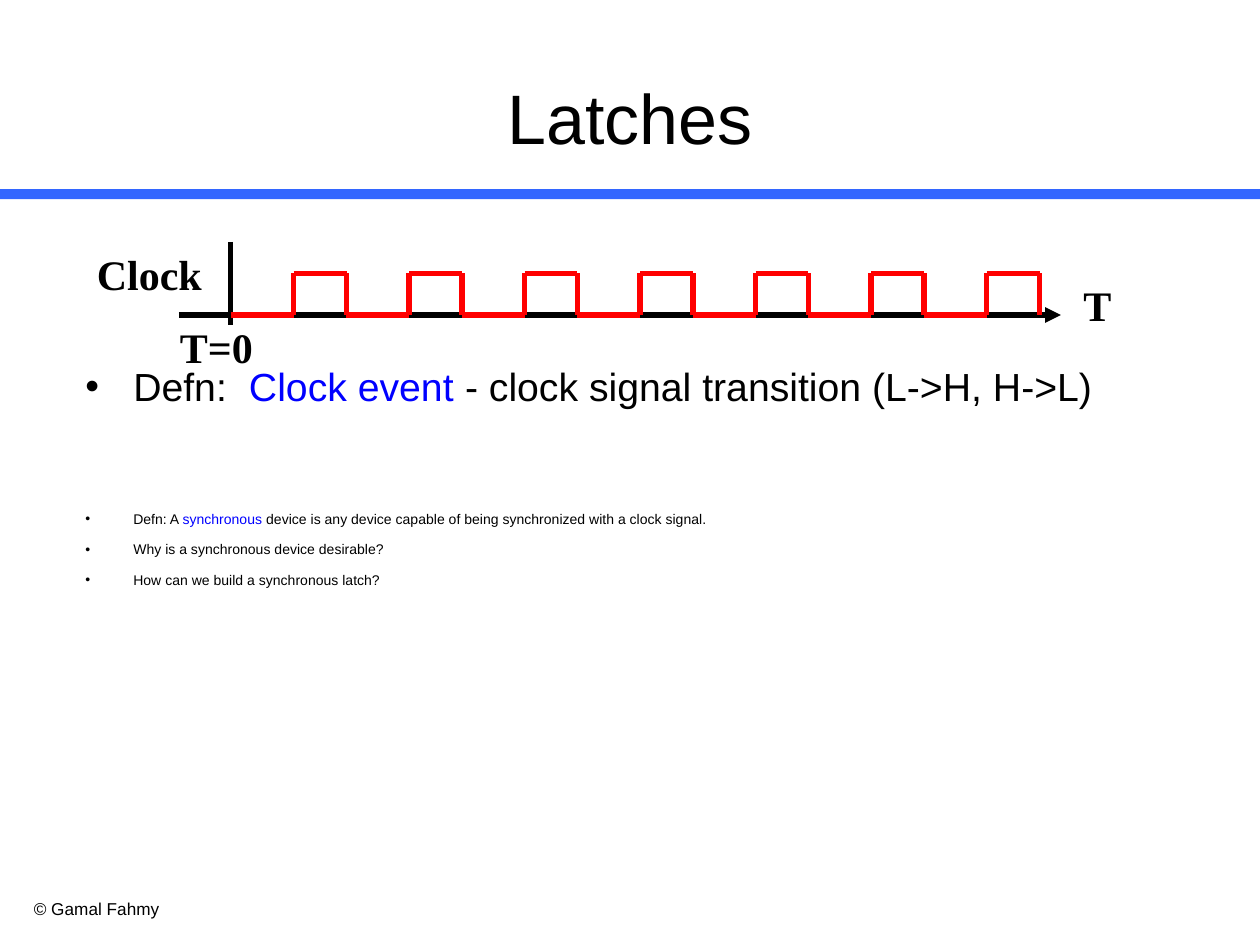
"""Build the Latches slide with its clock timing diagram."""
from lxml.etree import SubElement
from pptx import Presentation
from pptx.dml.color import RGBColor
from pptx.enum.shapes import MSO_CONNECTOR, MSO_SHAPE
from pptx.enum.text import MSO_ANCHOR, MSO_AUTO_SIZE, PP_ALIGN
from pptx.oxml.ns import qn
from pptx.util import Inches, Pt

BLACK, RED, BLUE = "000000", "FF0000", "0000FF"
color = RGBColor.from_string


def add_text(shapes, box, paragraphs, size, font="Arial", bold=False, align=PP_ALIGN.LEFT,
             anchor=MSO_ANCHOR.TOP, wrap=True, bullet=False):
    frame = shapes.add_textbox(*map(Inches, box)).text_frame
    frame.word_wrap = wrap
    frame.auto_size = MSO_AUTO_SIZE.NONE if wrap else MSO_AUTO_SIZE.SHAPE_TO_FIT_TEXT
    frame.vertical_anchor = anchor
    for index, runs in enumerate(paragraphs):
        paragraph = frame.add_paragraph() if index else frame.paragraphs[0]
        paragraph.alignment = align
        if bullet:
            paragraph.space_before = Pt(8)
            properties = paragraph._p.get_or_add_pPr()
            properties.set("marL", str(Inches(0.38)))
            properties.set("indent", str(Inches(-0.38)))
            SubElement(properties, qn("a:buFont"), typeface="Arial")
            SubElement(properties, qn("a:buChar"), char="•")
        for text, text_color in runs:
            run = paragraph.add_run()
            run.text = text
            run.font.name, run.font.size, run.font.bold = font, Pt(size), bold
            run.font.color.rgb = color(text_color)


def add_line(shapes, start, end, line_color):
    connector = shapes.add_connector(MSO_CONNECTOR.STRAIGHT, *map(Inches, start + end))
    connector.line.color.rgb = color(line_color)
    connector.line.width = Pt(3)
    SubElement(connector._element.spPr, qn("a:effectLst"))
    return connector


presentation = Presentation()
presentation.slide_width, presentation.slide_height = Inches(10), Inches(7.5)
slide = presentation.slides.add_slide(presentation.slide_layouts[6])

band = slide.shapes.add_shape(MSO_SHAPE.RECTANGLE, 0, Inches(1.5), Inches(10), Inches(0.08))
band.shadow.inherit = False
band.fill.solid()
band.fill.fore_color.rgb = color("3366FF")
band.line.fill.background()

add_text(slide.shapes, (0.17, 7.08, 2.17, 0.27), [[("© Gamal Fahmy", BLACK)]], 9.8)
add_text(slide.shapes, (0.5, 0.3, 9, 1.25), [[("Latches", BLACK)]], 40,
         align=PP_ALIGN.CENTER, anchor=MSO_ANCHOR.MIDDLE)

diagram = slide.shapes.add_group_shape().shapes
origin, low, high = 1.83, 2.5, 2.17
low_time, high_time, period = 0.5, 0.42, 5.5 / 6
add_line(diagram, (origin, 1.92), (origin, 2.58), BLACK)
time_axis = add_line(diagram, (1.42, low), (8.42, low), BLACK)
SubElement(time_axis.line._get_or_add_ln(), qn("a:tailEnd"), type="triangle")

for pulse in range(7):
    start = origin + pulse * period
    rise = start + low_time
    fall = rise + high_time
    add_line(diagram, (rise, high), (rise, low), RED)
    add_line(diagram, (fall, high), (fall, low), RED)
    add_line(diagram, (rise, high), (fall, high), RED)
    add_line(diagram, (start, low), (rise, low), RED)

for label, left, top, width in [("T=0", 1.33, 2.5, 0.78), ("Clock", 0.67, 1.92, 1.03),
                                ("T", 8.5, 2.17, 0.42)]:
    add_text(diagram, (left, top, width, 0.5), [[(label, BLACK)]], 24,
             font="Times New Roman", bold=True, wrap=False)

clock_event = [("Defn:  ", BLACK), ("Clock event", BLUE),
               (" - clock signal transition (L->H, H->L)", BLACK)]
synchronous = [("Defn: A ", BLACK), ("synchronous", BLUE),
               (" device is any device capable of being synchronized with a clock signal.", BLACK)]
questions = [[("Why is a synchronous device desirable?", BLACK)],
             [("How can we build a synchronous latch?", BLACK)]]
add_text(slide.shapes, (0.58, 2.83, 8.5, 0.75), [clock_event], 22.4, bullet=True)
add_text(slide.shapes, (0.58, 4, 8.5, 0.75), [synchronous] + questions, 8, bullet=True)

presentation.save("out.pptx")
